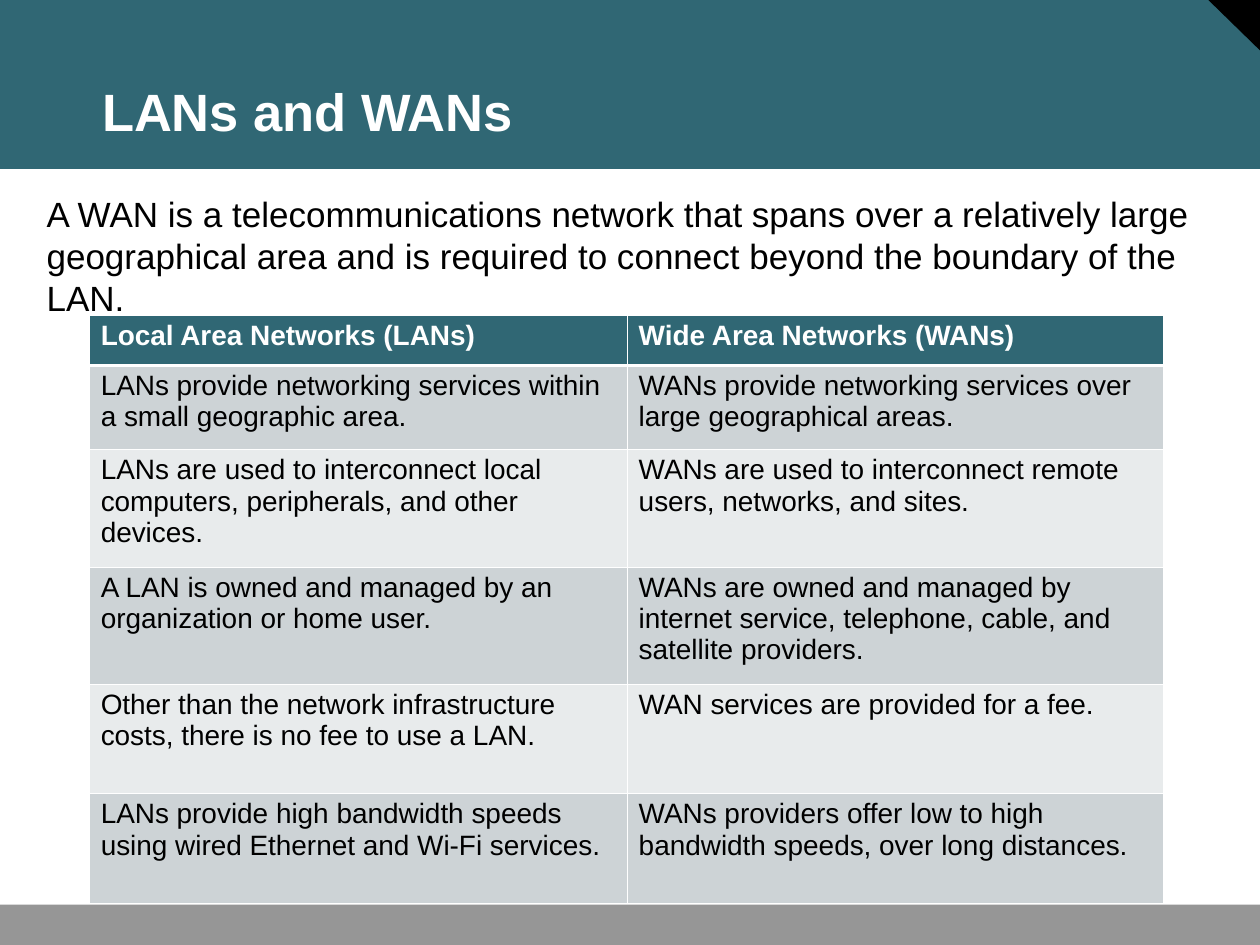
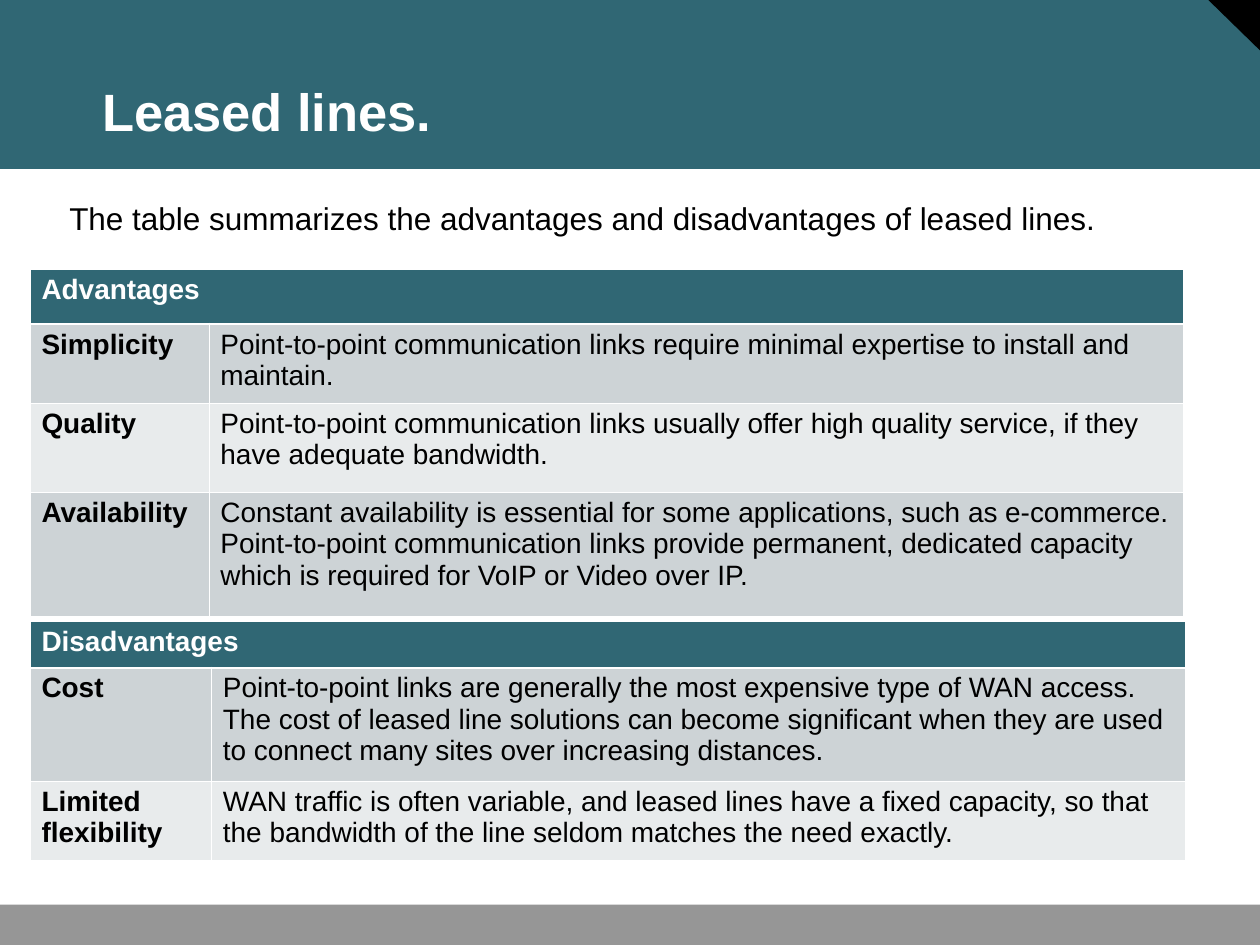
from lxml import etree
from pptx import Presentation
from pptx.dml.color import RGBColor
from pptx.enum.shapes import MSO_SHAPE as Preset
from pptx.enum.text import MSO_ANCHOR as Anchor
from pptx.oxml.ns import qn
from pptx.util import Inches, Pt

TEAL, BLACK, WHITE, GRAY = "306774", "000000", "FFFFFF", "969696"
ROW_FILLS = ["E8EBEC", "CDD3D6"]
FONT = "Arial"
THIN, THICK = Pt(0.45), Pt(1.47)
WIDTH, HEIGHT = 10, 7.5

# Preset, left, top, width, height, rotation, colour
BANDS = [
    (Preset.RECTANGLE, 0, 0, WIDTH, 1.34, 0, TEAL),
    (Preset.RIGHT_TRIANGLE, WIDTH - 0.42, -0.01, 0.42, 0.41, 180, BLACK),
    (Preset.RECTANGLE, 0, 7.18, WIDTH, 0.33, 0, GRAY),
]
TITLE_BOX = (0.72, 0.25, 8.91, 0.92)

network_table = {
    "corner": (0.71, 2.5),
    "columns": [4.27, 4.25],
    "heights": [0.4, 0.67, 0.93, 0.93, 0.87, 0.87],
    "bold_labels": False,
    "rows": [
        ["Local Area Networks (LANs)", "Wide Area Networks (WANs)"],
        ["LANs provide networking services within a small geographic area.",
         "WANs provide networking services over large geographical areas."],
        ["LANs are used to interconnect local computers, peripherals, and other devices.",
         "WANs are used to interconnect remote users, networks, and sites."],
        ["A LAN is owned and managed by an organization or home user.",
         "WANs are owned and managed by internet service, telephone, cable, "
         "and satellite providers."],
        ["Other than the network infrastructure costs, there is no fee to use a LAN.",
         "WAN services are provided for a fee."],
        ["LANs provide high bandwidth speeds using wired Ethernet and Wi-Fi services.",
         "WANs providers offer low to high bandwidth speeds, over long distances."],
    ],
}
advantages_table = {
    "corner": (0.24, 2.14),
    "columns": [1.42, 7.73],
    "heights": [0.43, 0.63, 0.71, 0.98],
    "bold_labels": True,
    "rows": [
        ["Advantages"],
        ["Simplicity",
         "Point-to-point communication links require minimal expertise to install "
         "and maintain."],
        ["Quality",
         "Point-to-point communication links usually offer high quality service, "
         "if they have adequate bandwidth."],
        ["Availability",
         "Constant availability is essential for some applications, such as e-commerce. "
         "Point-to-point communication links provide permanent, dedicated capacity "
         "which is required for VoIP or Video over IP."],
    ],
}
disadvantages_table = {
    "corner": (0.24, 4.93),
    "columns": [1.44, 7.73],
    "heights": [0.37, 0.9, 0.63],
    "bold_labels": True,
    "rows": [
        ["Disadvantages"],
        ["Cost",
         "Point-to-point links are generally the most expensive type of WAN access. "
         "The cost of leased line solutions can become significant when they are used "
         "to connect many sites over increasing distances."],
        ["Limited flexibility",
         "WAN traffic is often variable, and leased lines have a fixed capacity, so that "
         "the bandwidth of the line seldom matches the need exactly."],
    ],
}

# Title, introduction, its box, its size, tables
SLIDES = [
    ("LANs and WANs",
     "A WAN is a telecommunications network that spans over a relatively large geographical "
     "area and is required to connect beyond the boundary of the LAN.",
     (0.28, 1.49, 9.53, 1), 20, [network_table]),
    ("Leased lines.",
     "The table summarizes the advantages and disadvantages of leased lines.",
     (0.46, 1.54, 8.76, 0.57), 18, [advantages_table, disadvantages_table]),
]


def paint(fill, colour):
    fill.solid()
    fill.fore_color.rgb = RGBColor.from_string(colour)


def write(holder, text, size, colour, bold=False):
    """Set the margins of a text box or table cell and add one run to it."""
    holder.margin_left = holder.margin_right = Inches(0.09)
    holder.margin_top = holder.margin_bottom = Inches(0.04)
    holder.word_wrap = True
    frame = getattr(holder, "text_frame", holder)
    run = frame.paragraphs[0].add_run()
    run.text = text
    run.font.name, run.font.size, run.font.bold = FONT, Pt(size), bold
    paint(run.font.fill, colour)


presentation = Presentation()
presentation.slide_width, presentation.slide_height = Inches(WIDTH), Inches(HEIGHT)

for title, introduction, introduction_box, introduction_size, tables in SLIDES:
    slide = presentation.slides.add_slide(presentation.slide_layouts[6])
    paint(slide.background.fill, WHITE)

    for preset, left, top, width, height, rotation, colour in BANDS:
        band = slide.shapes.add_shape(preset, *map(Inches, (left, top, width, height)))
        band.rotation = rotation
        band.shadow.inherit = False
        band.line.fill.background()
        paint(band.fill, colour)

    title_frame = slide.shapes.add_textbox(*map(Inches, TITLE_BOX)).text_frame
    title_frame.vertical_anchor = Anchor.BOTTOM
    write(title_frame, title, 30, WHITE, bold=True)
    introduction_frame = slide.shapes.add_textbox(*map(Inches, introduction_box)).text_frame
    write(introduction_frame, introduction, introduction_size, BLACK)

    for content in tables:
        rows, columns, heights = content["rows"], content["columns"], content["heights"]
        size = (sum(columns), sum(heights))
        table = slide.shapes.add_table(
            len(rows), len(columns), *map(Inches, content["corner"] + size)).table
        for column, width in zip(table.columns, columns):
            column.width = Inches(width)
        for row, height in zip(table.rows, heights):
            row.height = Inches(height)
        if len(rows[0]) == 1:
            table.cell(0, 0).merge(table.cell(0, len(columns) - 1))

        for row_index in range(len(rows)):
            is_header = row_index == 0
            for column_index in range(len(columns)):
                cell = table.cell(row_index, column_index)
                properties = cell._tc.get_or_add_tcPr()
                for side in ("lnL", "lnR", "lnT", "lnB"):
                    under_header = (row_index, side) in [(0, "lnB"), (1, "lnT")]
                    border = etree.SubElement(properties, qn(f"a:{side}"),
                                              w=str(THICK if under_header else THIN))
                    border_fill = etree.SubElement(border, qn("a:solidFill"))
                    etree.SubElement(border_fill, qn("a:srgbClr"), val=WHITE)
                paint(cell.fill, TEAL if is_header else ROW_FILLS[row_index % 2])
                if not cell.is_spanned:
                    is_label = content["bold_labels"] and column_index == 0
                    write(cell, rows[row_index][column_index], 16,
                          WHITE if is_header else BLACK, bold=is_header or is_label)

presentation.save("out.pptx")
